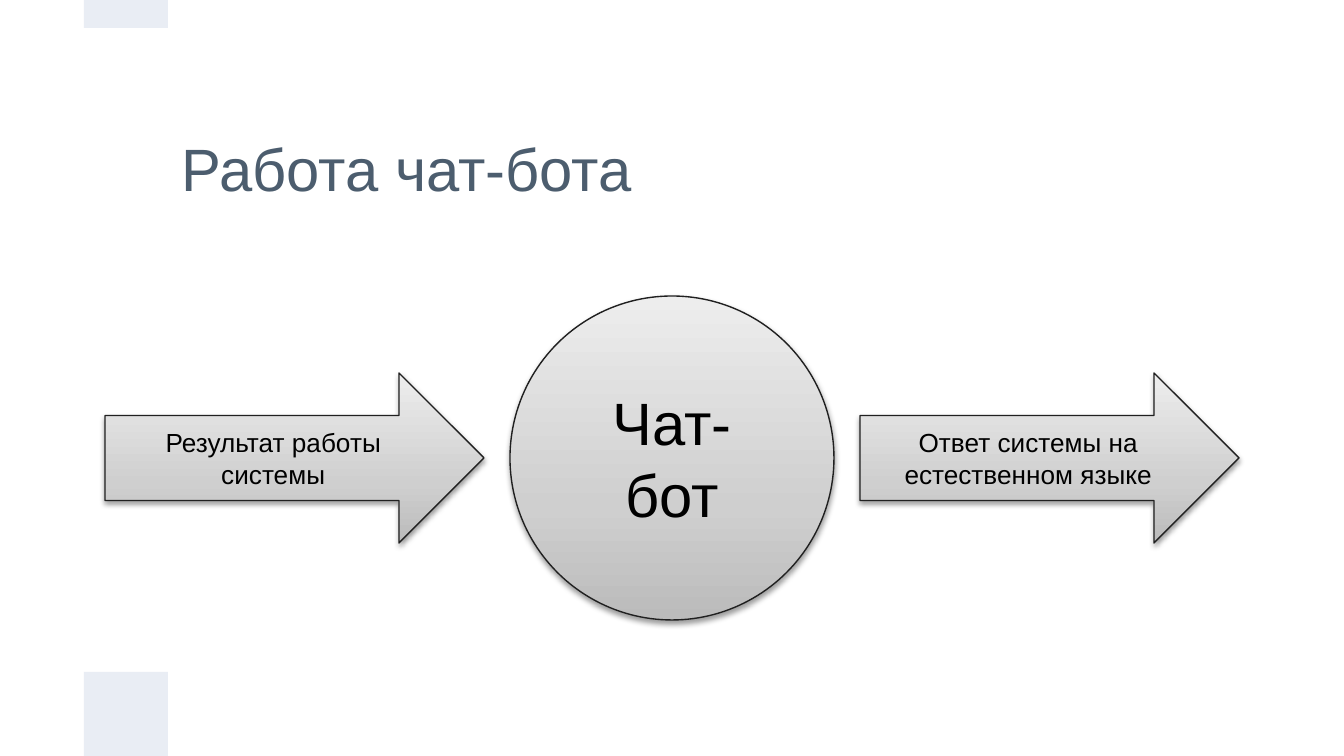
from copy import deepcopy
from dataclasses import dataclass

from lxml import etree
from pptx import Presentation
from pptx import util as u
from pptx.dml.color import RGBColor
from pptx.enum import shapes, text
from pptx.oxml import ns

SCALE = 914400 / 134.4


@dataclass
class Theme:
    font: str = "Arial"
    title: str = "4C5D6E"
    body: str = "000000"
    bar: str = "E9EDF4"
    outline: str = "202020"
    gradient: tuple = ((0, "BBBBBB"), (0.35, "CFCFCF"), (1, "EDEDED"))
    large: int = 32
    small: int = 14


theme = Theme()


def write(shape, words, size, color, align=text.PP_ALIGN.CENTER, inset=0.05):
    """Put formatted, vertically centred text into a shape."""
    frame = shape.text_frame
    frame.text = words
    frame.word_wrap = True
    frame.auto_size = text.MSO_AUTO_SIZE.NONE
    frame.vertical_anchor = text.MSO_ANCHOR.MIDDLE
    frame.margin_left = frame.margin_right = u.Inches(0.1)
    frame.margin_top = frame.margin_bottom = u.Inches(inset)
    paragraph = frame.paragraphs[0]
    paragraph.alignment = align
    font = paragraph.runs[0].font
    font.name, font.size = theme.font, u.Pt(size)
    font.color.rgb = RGBColor.from_string(color)


def add_shape(kind, *box):
    """Add a preset shape at left, top, width, height in pixels."""
    shape = slide.shapes.add_shape(kind, *(round(n * SCALE) for n in box))
    shape.shadow.inherit = False
    return shape


presentation = Presentation()
presentation.slide_width = round(1344 * SCALE)
presentation.slide_height = round(756 * SCALE)
slide = presentation.slides.add_slide(presentation.slide_layouts[5])

title = slide.shapes.title
title.left, title.top, title.width, title.height = (
    round(n * SCALE) for n in (168, 84, 1008, 168))
write(title, "Работа чат-бота", theme.large, theme.title,
      align=text.PP_ALIGN.LEFT, inset=0.1)

# Accent bars at the bottom and top edges
for top, height in ((672, 84), (0, 28)):
    bar = add_shape(shapes.MSO_SHAPE.RECTANGLE, 84, top, 84, height)
    bar.fill.solid()
    bar.fill.fore_color.rgb = RGBColor.from_string(theme.bar)
    bar.line.fill.background()

# Circle in the middle, with one arrow at an equal gap on each side
center_x, center_y = 672, 458
diameter, gap = 324, 26
arrow_width, arrow_height = 379, 170
reach = diameter // 2 + gap
arrow = shapes.MSO_SHAPE.RIGHT_ARROW
steps = (
    (shapes.MSO_SHAPE.OVAL, center_x - diameter // 2, diameter, diameter,
     "Чат-бот", theme.large),
    (arrow, center_x - reach - arrow_width, arrow_width, arrow_height,
     "Результат работы системы", theme.small),
    (arrow, center_x + reach, arrow_width, arrow_height,
     "Ответ системы на естественном языке", theme.small),
)
for kind, left, width, height, words, size in steps:
    step = add_shape(kind, left, center_y - height // 2, width, height)
    step.fill.gradient()
    step.fill.gradient_angle = 90
    stop_list = step.element.spPr.find(".//" + ns.qn("a:gsLst"))
    stop_list.append(deepcopy(stop_list[-1]))
    for stop, (position, color) in zip(step.fill.gradient_stops, theme.gradient):
        stop.position = position
        stop.color.rgb = RGBColor.from_string(color)
    step.line.color.rgb = RGBColor.from_string(theme.outline)
    step.line.width = u.Pt(0.75)

    effects = step.element.spPr.find(ns.qn("a:effectLst"))
    shadow = etree.SubElement(
        effects, ns.qn("a:outerShdw"), blurRad=str(u.Pt(3.1)),
        dist=str(u.Pt(1.6)), dir="5400000", rotWithShape="0")
    shade = etree.SubElement(shadow, ns.qn("a:srgbClr"), val="000000")
    etree.SubElement(shade, ns.qn("a:alpha"), val="38000")
    write(step, words, size, theme.body)

presentation.save("out.pptx")
